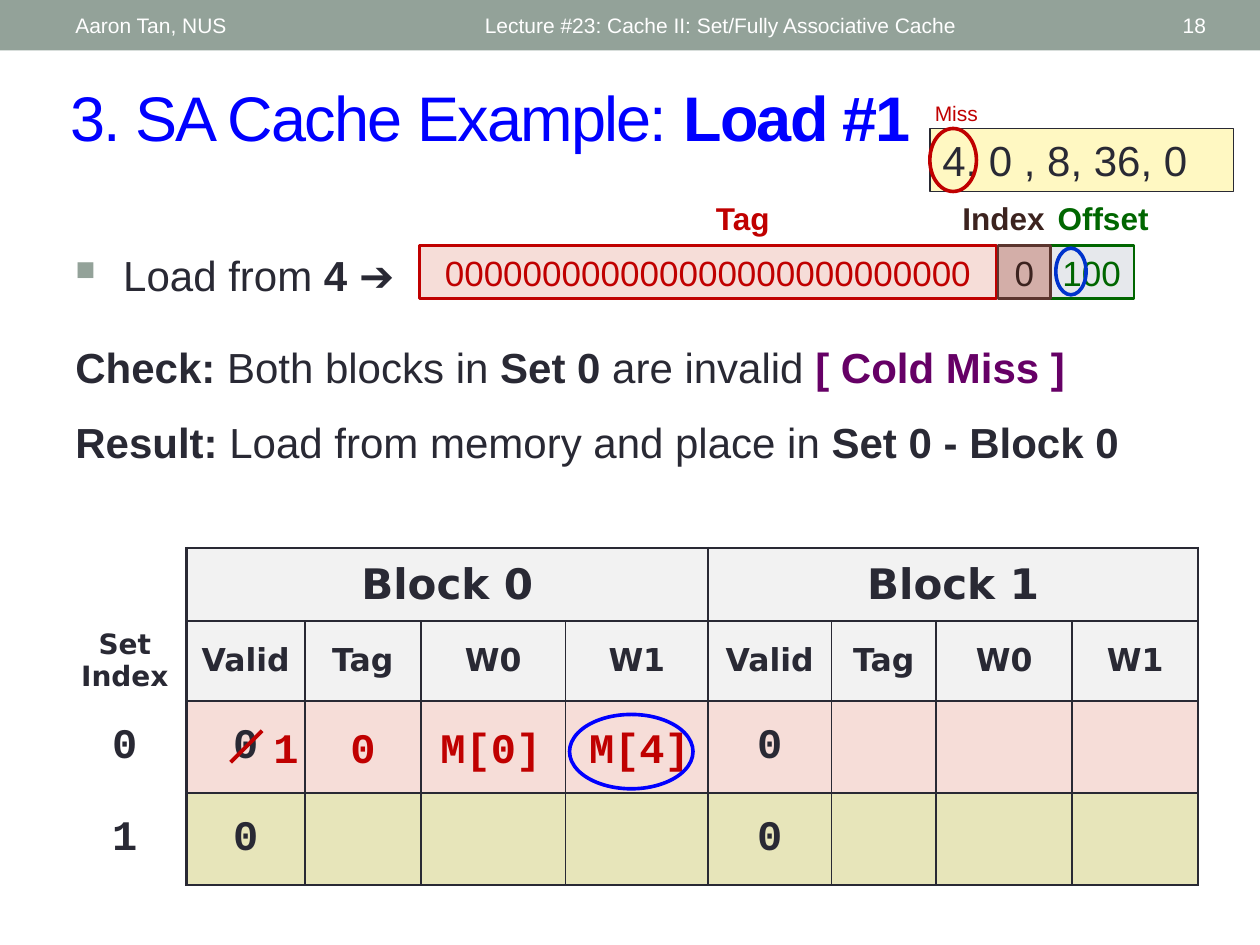
from lxml import etree
from pptx import Presentation, util as u
from pptx.dml.color import RGBColor
from pptx.enum import shapes as sh, text as tx
from pptx.oxml import ns

INK, RED, GREEN, BROWN, GRAY = "292934", "C00000", "006600", "3C231F", "93A299"
MONO = "Courier New"
LEFT, MID, RIGHT = tx.PP_ALIGN.LEFT, tx.PP_ALIGN.CENTER, tx.PP_ALIGN.RIGHT


def write(para, runs, size, hue=INK, face="Arial", align=LEFT):
    """Fill a paragraph with (text, bold[, colour]) runs."""
    para.alignment = align
    for words, bold, *own in runs:
        run = para.add_run()
        run.text = words
        font = run.font
        font.size, font.bold, font.name = u.Pt(size), bold, face
        font.color.rgb = RGBColor.from_string(own[0] if own else hue)


def draw(kind, area, fill=None, line=None, width=1.5):
    """Add a text box (kind None) or a preset shape."""
    area = [u.Inches(n) for n in area]
    if kind is None:
        item = slide.shapes.add_textbox(*area)
    else:
        item = slide.shapes.add_shape(kind, *area)
        item.shadow.inherit = False
        item.fill.background()
        item.line.fill.background()
    if fill:
        item.fill.solid()
        item.fill.fore_color.rgb = RGBColor.from_string(fill)
    if line:
        item.line.color.rgb = RGBColor.from_string(line)
        item.line.width = u.Pt(width)
    item.text_frame.word_wrap = True
    return item


deck = Presentation()
deck.slide_width, deck.slide_height = u.Inches(10), u.Inches(7.5)
slide = deck.slides.add_slide(deck.slide_layouts[6])
RECT, OVAL = sh.MSO_SHAPE.RECTANGLE, sh.MSO_SHAPE.OVAL
MIDDLE = tx.MSO_ANCHOR.MIDDLE

# Header bar
draw(RECT, (0, 0, 10, 0.4), GRAY)
for left, width, words, align in [
    (0.5, 3.17, "Aaron Tan, NUS", LEFT),
    (3.75, 4.5, "Lecture #23: Cache II: Set/Fully Associative Cache", LEFT),
    (8.72, 0.95, "18", RIGHT),
]:
    frame = draw(None, (left, 0.02, width, 0.36)).text_frame
    frame.vertical_anchor = MIDDLE
    write(frame.paragraphs[0], [(words, False)], 12, "FFFFFF", align=align)

# Title
frame = draw(None, (0.46, 0.57, 9.21, 0.7)).text_frame
frame.vertical_anchor = MIDDLE
write(frame.paragraphs[0], [("3. SA Cache Example: ", False), ("Load #1", True)], 36, "0000FF")
for run in frame.paragraphs[0].runs:
    run.font._element.set("spc", "-100")

# Load and check lines
frame = draw(None, (0.5, 1.93, 9, 0.67)).text_frame
load, check = frame.paragraphs[0], frame.add_paragraph()
props = load._p.get_or_add_pPr()
props.set("marL", str(u.Inches(0.38)))
props.set("indent", str(-u.Inches(0.38)))
tint = etree.SubElement(props, ns.qn("a:buClr"))
etree.SubElement(tint, ns.qn("a:srgbClr"), val=GRAY)
etree.SubElement(props, ns.qn("a:buSzPct"), val="65000")
etree.SubElement(props, ns.qn("a:buChar"), char="■")
write(load, [("Load from ", False), ("4 ➔", True)], 24)
check.space_before = u.Pt(24)
write(check, [("Check: ", True), ("Both blocks in ", False), ("Set 0 ", True),
              ("are invalid ", False), ("[ Cold Miss ]", True, "660066")], 24)

# Result line
frame = draw(None, (0.5, 3.26, 8.83, 0.5)).text_frame
write(frame.paragraphs[0], [("Result: ", True), ("Load from memory and place in ", False),
                            ("Set 0 - Block 0", True)], 24)

# Address fields
for left, width, bits, fill, line, hue in [
    (3.33, 4.58, "0" * 27, "F6DDD8", RED, RED),
    (8.33, 0.67, "100", "E6E8EC", GREEN, GREEN),
    (7.92, 0.42, "0", "D3AEA8", "5B352E", BROWN),
]:
    frame = draw(RECT, (left, 1.95, width, 0.42), fill, line).text_frame
    frame.vertical_anchor = MIDDLE
    frame.word_wrap = False
    write(frame.paragraphs[0], [(bits, False)], 20, hue, align=MID)
for left, width, name, hue in [
    (5.5, 0.79, "Tag", RED), (8.17, 1.17, "Offset", GREEN), (7.42, 1.09, "Index", BROWN),
]:
    frame = draw(None, (left, 1.53, width, 0.4)).text_frame
    write(frame.paragraphs[0], [(name, True)], 18, hue, align=MID)

# Cache table
heads = ["Valid", "Tag", "W0", "W1"]
rows = [
    ["", "Block 0", "", "", "", "Block 1", "", "", ""],
    ["Set Index"] + heads * 2,
    ["0"] + ["0", "", "", ""] * 2,
    ["1"] + ["0", "", "", ""] * 2,
]
fills = ["F2F2F2", "F2F2F2", "F6DDD8", "E7E5BA"]
wide = [0.98, 0.94, 0.92, 1.15, 1.13, 0.98, 0.83, 1.08, 1]
high = [0.58, 0.63, 0.73, 0.73]
grid = slide.shapes.add_table(4, 9, u.Inches(0.5), u.Inches(4.35),
                              u.Inches(sum(wide)), u.Inches(sum(high))).table
grid.first_row = grid.horz_banding = False
for col, width in zip(grid.columns, wide):
    col.width = u.Inches(width)
for row, height in zip(grid.rows, high):
    row.height = u.Inches(height)
for r, row in enumerate(rows):
    for c, words in enumerate(row):
        cell = grid.cell(r, c)
        cell.vertical_anchor = MIDDLE
        # Heavy rules frame each block, light ones part its columns
        rule = 1.5 if c else 0
        edges = {"L": (1.5 if c in (1, 5) else 1) if c else 0,
                 "R": 1.5 if c in (0, 4, 8) else 1, "T": rule, "B": rule}
        props = cell._tc.get_or_add_tcPr()
        for side, weight in edges.items():
            edge = etree.SubElement(props, ns.qn("a:ln" + side), w=str(u.Pt(weight)))
            if weight:
                paint = etree.SubElement(edge, ns.qn("a:solidFill"))
                etree.SubElement(paint, ns.qn("a:srgbClr"), val=INK)
            else:
                etree.SubElement(edge, ns.qn("a:noFill"))
        cell.fill.solid()
        cell.fill.fore_color.rgb = RGBColor.from_string(fills[r] if c else "FFFFFF")
        if words:
            size = 16 if words == "Set Index" else 18 if r == 1 else 24
            face = "DejaVu Sans" if r < 2 else MONO
            write(cell.text_frame.paragraphs[0], [(words, True)], size, face=face, align=MID)
for c in (1, 5):
    grid.cell(0, c).merge(grid.cell(0, c + 3))

# New values in set 0
for left, width, words in [
    (2.07, 0.4, "1"), (2.67, 0.42, "0"), (3.27, 1.25, "M[0]"), (4.48, 1.19, "M[4]"),
]:
    frame = draw(None, (left, 5.68, width, 0.5)).text_frame
    frame.word_wrap = False
    write(frame.paragraphs[0], [(words, True)], 24, RED, MONO, MID)

# Strike through the old valid bit
strike = slide.shapes.add_connector(sh.MSO_CONNECTOR.STRAIGHT, u.Inches(2.08), u.Inches(5.8),
                                    u.Inches(1.83), u.Inches(6.05))
strike.line.color.rgb = RGBColor.from_string(RED)
strike.line.width = u.Pt(2.25)
etree.SubElement(strike._element.spPr, ns.qn("a:effectLst"))

# Access sequence
frame = draw(RECT, (7.38, 1.02, 2.41, 0.5), "FFF8C2", INK, 0.75).text_frame
frame.vertical_anchor = tx.MSO_ANCHOR.TOP
write(frame.paragraphs[0], [("4, 0 , 8, 36, 0", False)], 24)
frame = draw(None, (7.3, 0.75, 0.58, 0.3)).text_frame
write(frame.paragraphs[0], [("Miss", False)], 12, RED, align=MID)

# Rings around the current access, loaded word and offset bit
for area, hue in [
    ((7.38, 1.02, 0.37, 0.5), RED),
    ((4.52, 5.67, 0.98, 0.59), "0000FF"),
    ((8.38, 1.97, 0.24, 0.37), "0033CC"),
]:
    draw(OVAL, area, line=hue, width=2.08)

deck.save("out.pptx")
